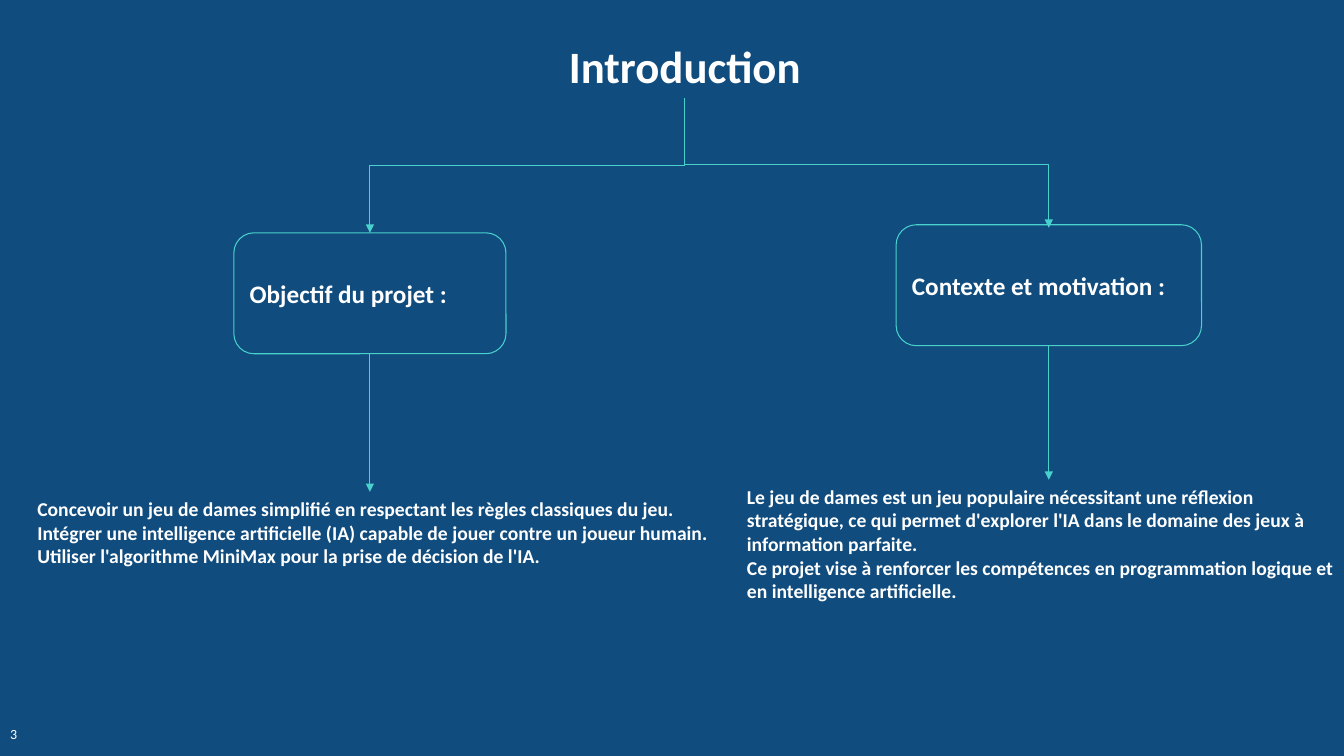
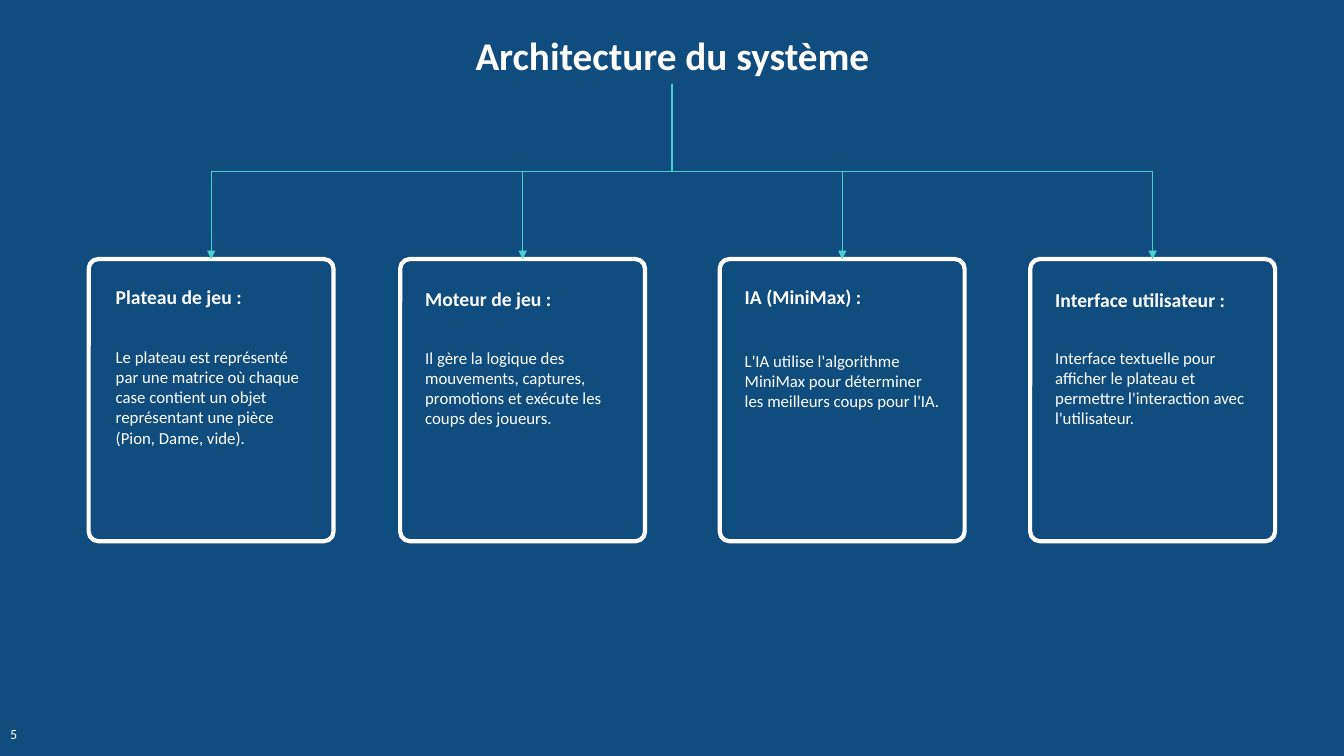
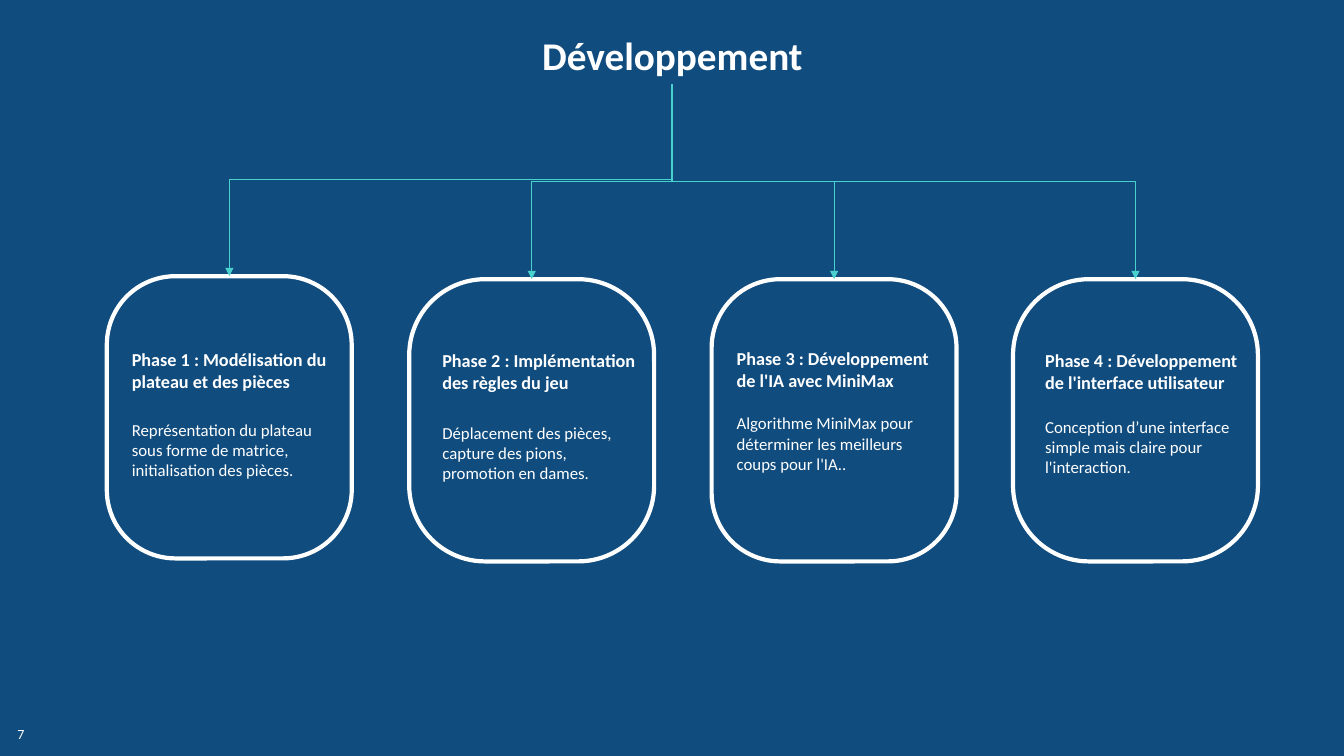
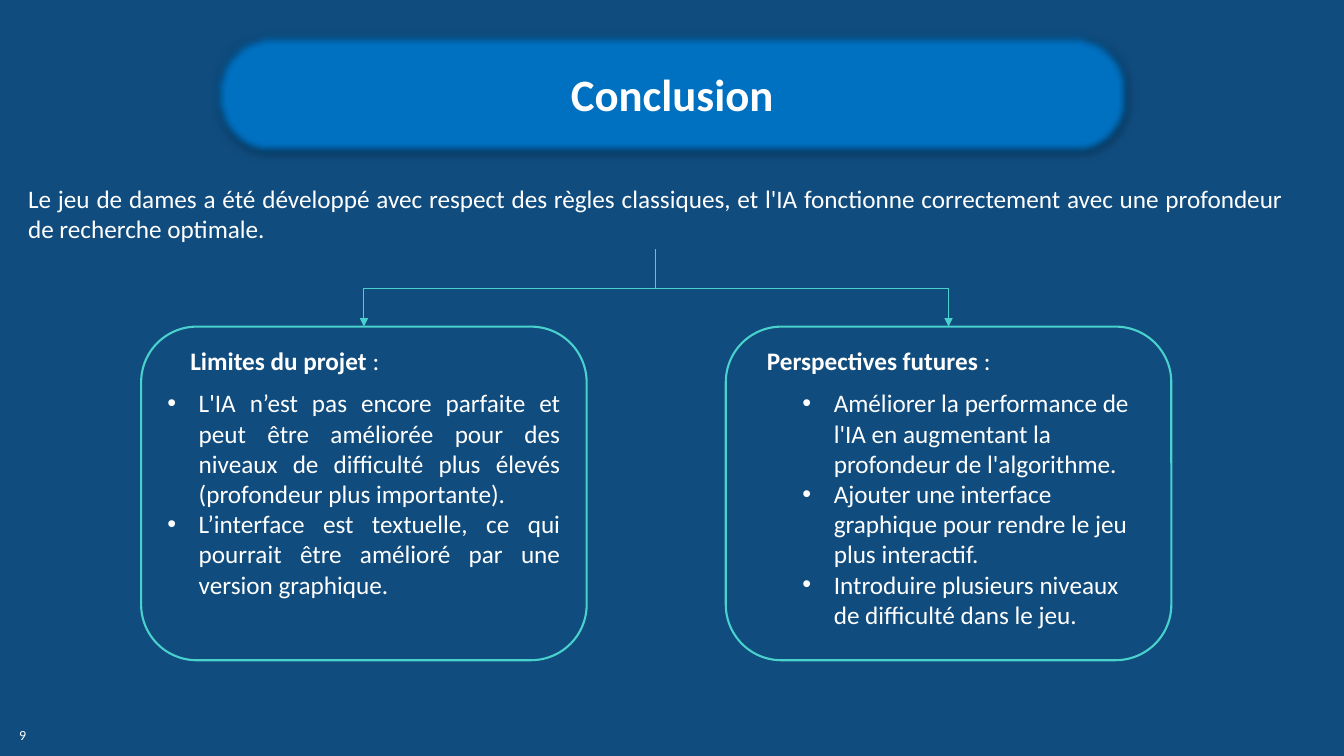
"""Build four slides on a draughts game project: fork diagrams below white titles."""

import dataclasses
import typing

import lxml.etree
import pptx
import pptx.dml.color
import pptx.enum.shapes
import pptx.enum.text
import pptx.oxml.ns
import pptx.util

RGBColor = pptx.dml.color.RGBColor
ALIGN = pptx.enum.text.PP_ALIGN
ANCHOR = pptx.enum.text.MSO_ANCHOR
SHAPES = pptx.enum.shapes.MSO_SHAPE
CONNECTORS = pptx.enum.shapes.MSO_CONNECTOR
qn = pptx.oxml.ns.qn

NAVY = RGBColor(0x10, 0x4C, 0x7E)
WHITE = RGBColor(0xFF, 0xFF, 0xFF)
TEAL = RGBColor(0x49, 0xD1, 0xCD)
BLUE = RGBColor(0x00, 0x70, 0xC0)

FONT = "Calibri"
CELL = pptx.util.Inches(0.1)
COLUMNS, ROWS = 133.33, 75
CARD_WIDTH, CARD_HEIGHT = 24.3, 28
CARD_TEXT_WIDTH = 21.3
TITLE_ONLY, TWO_CONTENT = 5, 3


class Area(typing.NamedTuple):
    """Place and size in grid cells."""

    left: float
    top: float
    width: float
    height: float


class Point(typing.NamedTuple):
    """Position in grid cells."""

    x: float
    y: float


class Insets(typing.NamedTuple):
    """Inner margins in grid cells."""

    left: float = 1
    top: float = 0.5
    right: float = 1
    bottom: float = 0.5


class Span(typing.NamedTuple):
    """Piece of text with one weight."""

    text: str
    bold: bool = False


@dataclasses.dataclass(frozen=True)
class Style:
    """Look of the text in one box."""

    size: float
    align: ALIGN = ALIGN.LEFT
    anchor: ANCHOR = ANCHOR.TOP
    insets: Insets | None = Insets()
    bullet_at: float | None = None


@dataclasses.dataclass(frozen=True)
class Card:
    """Outlined card with a heading and a text."""

    left: float
    top: float
    text_shift: float
    heading_top: float
    body_top: float
    heading: str
    body: str
    corner: float = 0.04


@dataclasses.dataclass(frozen=True)
class Panel:
    """Framed list with a heading."""

    left: float
    heading_left: float
    heading: str
    items: tuple[str, ...]
    style: Style


@dataclasses.dataclass(frozen=True)
class Topic:
    """Framed label with statements below it."""

    frame: Area
    label: str
    body: Area
    lines: tuple[str, ...]
    fork_start: Point
    fork_end: Point


LIST_INSETS = Insets(left=2.6, right=2.6)

TOPICS = (
    Topic(
        Area(23.2, 23.1, 27, 12),
        "Objectif du projet :",
        Area(2.7, 48.8, 68, 10.4),
        (
            "Concevoir un jeu de dames simplifié en respectant les règles classiques du jeu.",
            "Intégrer une intelligence artificielle (IA) capable de jouer contre un joueur humain.",
            "Utiliser l'algorithme MiniMax pour la prise de décision de l'IA.",
        ),
        Point(67.9, 9.7),
        Point(36.7, 23.1),
    ),
    Topic(
        Area(88.9, 22.3, 30.3, 12),
        "Contexte et motivation :",
        Area(73.1, 47.6, 60.2, 12.8),
        (
            "Le jeu de dames est un jeu populaire nécessitant une réflexion stratégique, "
            "ce qui permet d'explorer l'IA dans le domaine des jeux à information parfaite.",
            "Ce projet vise à renforcer les compétences en programmation logique "
            "et en intelligence artificielle.",
        ),
        Point(67.9, 10),
        Point(104.05, 22.6),
    ),
)

ARCHITECTURE = (
    Card(8.8, 25.7, 1.7, 27.8, 33.9, "Plateau de jeu :",
         "Le plateau est représenté par une matrice où chaque case contient "
         "un objet représentant une pièce (Pion, Dame, vide)."),
    Card(39.7, 25.7, 1.5, 28, 34, "Moteur de jeu :",
         "Il gère la logique des mouvements, captures, promotions "
         "et exécute les coups des joueurs."),
    Card(71.4, 25.7, 1.5, 27.8, 34.3, "IA (MiniMax) :",
         "L'IA utilise l'algorithme MiniMax pour déterminer les meilleurs coups pour l'IA."),
    Card(102.2, 25.7, 1.5, 28.1, 34, "Interface utilisateur :",
         "Interface textuelle pour afficher le plateau et permettre "
         "l'interaction avec l'utilisateur."),
)

PHASES = (
    Card(10.6, 27.4, 1.5, 34.1, 41.1, "Phase 1 : Modélisation du plateau et des pièces",
         "Représentation du plateau sous forme de matrice, initialisation des pièces.", 0.28),
    Card(40.6, 27.7, 2.3, 34.2, 41.4, "Phase 2 : Implémentation des règles du jeu",
         "Déplacement des pièces, capture des pions, promotion en dames.", 0.31),
    Card(70.6, 27.7, 1.5, 34, 40.5, "Phase 3 : Développement de l'IA avec MiniMax",
         "Algorithme MiniMax pour déterminer les meilleurs coups pour l'IA..", 0.28),
    Card(100.5, 27.7, 2.2, 34.2, 40.8, "Phase 4 : Développement de l'interface utilisateur",
         "Conception d’une interface simple mais claire pour l'interaction.", 0.31),
)

PANELS = (
    Panel(
        14, 17.9, "Limites du projet",
        (
            "L'IA n’est pas encore parfaite et peut être améliorée pour des niveaux "
            "de difficulté plus élevés (profondeur plus importante).",
            "L’interface est textuelle, ce qui pourrait être amélioré par une version graphique.",
        ),
        Style(18, ALIGN.JUSTIFY, ANCHOR.MIDDLE, LIST_INSETS, 3.12),
    ),
    Panel(
        72, 75.1, "Perspectives futures",
        (
            "Améliorer la performance de l'IA en augmentant la profondeur de l'algorithme.",
            "Ajouter une interface graphique pour rendre le jeu plus interactif.",
            "Introduire plusieurs niveaux de difficulté dans le jeu.",
        ),
        Style(18, ALIGN.LEFT, ANCHOR.MIDDLE, LIST_INSETS._replace(top=3.5), 8.12),
    ),
)


def cells(count: float) -> int:
    """Convert grid cells to a length."""
    return round(count * CELL)


def assign(target: typing.Any, formats: dict[str, typing.Any]) -> None:
    """Set every attribute named in a dict of format values."""
    for name, value in formats.items():
        setattr(target, name, value)


def place(shape: typing.Any, area: Area) -> None:
    """Move a shape to its area."""
    assign(shape, {name: cells(value) for name, value in area._asdict().items()})


def write(shape: typing.Any, paragraphs: typing.Sequence[typing.Sequence[Span]], style: Style) -> None:
    """Fill a shape with styled paragraphs."""
    frame = shape.text_frame
    assign(frame, {
        "word_wrap": True,
        "auto_size": pptx.enum.text.MSO_AUTO_SIZE.NONE,
        "vertical_anchor": style.anchor,
    })
    if style.insets:
        assign(frame, {f"margin_{side}": cells(value) for side, value in style.insets._asdict().items()})
    for index, spans in enumerate(paragraphs):
        para = frame.add_paragraph() if index else frame.paragraphs[0]
        properties = para._p.get_or_add_pPr()
        if style.bullet_at is None:
            formats = {"marL": "0", "indent": "0"}
            lxml.etree.SubElement(properties, qn("a:buNone"))
        else:
            formats = {"marL": str(cells(style.bullet_at)), "indent": str(cells(-3.12))}
            lxml.etree.SubElement(properties, qn("a:buChar"), char="•")
        for name, value in formats.items():
            properties.set(name, value)
        assign(para, {
            "alignment": style.align,
            "space_before": pptx.util.Pt(0),
            "space_after": pptx.util.Pt(0),
        })
        for span in spans:
            run = para.add_run()
            run.text = span.text
            assign(run.font, {"name": FONT, "size": pptx.util.Pt(style.size), "bold": span.bold})
            run.font.color.rgb = WHITE


def add_text(page: typing.Any, area: Area, spans: typing.Sequence[Span], style: Style) -> None:
    """Add a text box with one paragraph."""
    box = page.shapes.add_textbox(0, 0, 0, 0)
    place(box, area)
    write(box, [spans], style)


def add_frame(page: typing.Any, area: Area, color: RGBColor, weight: float,
              corner: float | None = None) -> typing.Any:
    """Add an outlined rounded rectangle."""
    frame = page.shapes.add_shape(SHAPES.ROUNDED_RECTANGLE, 0, 0, 0, 0)
    place(frame, area)
    frame.shadow.inherit = False
    frame.fill.background()
    frame.line.color.rgb = color
    frame.line.width = pptx.util.Pt(weight)
    if corner is not None:
        frame.adjustments[0] = corner
    return frame


def add_arrow(page: typing.Any, start: Point, end: Point) -> None:
    """Add a downward arrow, bent halfway when its ends are not aligned."""
    across, down = abs(end.x - start.x), end.y - start.y
    if across == 0:
        kind, turn, ends = CONNECTORS.STRAIGHT, 0, (*start, *end)
    else:
        left = (start.x + end.x - down) / 2
        top = (start.y + end.y - across) / 2
        rightward = end.x > start.x
        near, far = (left + down, left) if rightward else (left, left + down)
        kind, turn, ends = CONNECTORS.ELBOW, 270 if rightward else 90, (near, top, far, top + across)
    arrow = page.shapes.add_connector(kind, *map(cells, ends))
    arrow.line.color.rgb = TEAL
    arrow.line.width = pptx.util.Pt(0.75)
    properties = arrow._element.spPr
    properties.find(qn("a:xfrm")).set("rot", str(turn * 60000))
    lxml.etree.SubElement(properties.find(qn("a:ln")), qn("a:tailEnd"), type="triangle")
    lxml.etree.SubElement(properties, qn("a:effectLst"))


def add_page(deck: typing.Any, layout: int, title: str, area: Area, size: float,
             number: str, number_area: Area) -> typing.Any:
    """Add a slide with its title and page number."""
    page = deck.slides.add_slide(deck.slide_layouts[layout])
    place(page.shapes.title, area)
    write(page.shapes.title, [[Span(title, True)]], Style(size, ALIGN.CENTER, ANCHOR.MIDDLE))
    add_text(page, number_area, [Span(number)],
             Style(10, ALIGN.RIGHT, ANCHOR.MIDDLE, Insets(left=0)))
    return page


def build_introduction(deck: typing.Any) -> None:
    """Add the slide with goal and context."""
    page = add_page(deck, TWO_CONTENT, "Introduction", Area(34.6, 3.3, 66.7, 6.4), 32,
                    "3", Area(0, 70.8, 2.7, 4.1))
    for topic, body in zip(TOPICS, list(page.placeholders)[1:]):
        frame = add_frame(page, topic.frame, TEAL, 0.75)
        write(frame, [[Span(topic.label, True)]], Style(18, anchor=ANCHOR.MIDDLE))
        place(body, topic.body)
        write(body, [[Span(line, True)] for line in topic.lines], Style(14, insets=Insets(right=0)))
        add_arrow(page, topic.fork_start, topic.fork_end)
        middle = topic.frame.left + topic.frame.width / 2
        add_arrow(page, Point(middle, topic.frame.top + topic.frame.height),
                  Point(middle, topic.body.top))


def build_cards(deck: typing.Any, title: str, cards: typing.Sequence[Card], heading_size: float,
                number: str, number_area: Area) -> None:
    """Add a slide whose title forks into cards."""
    page = add_page(deck, TITLE_ONLY, title, Area(11.3, 2.6, 110.8, 5.7), 28, number, number_area)
    for card in cards:
        add_frame(page, Area(card.left, card.top, CARD_WIDTH, CARD_HEIGHT), WHITE, 3, card.corner)
        left = card.left + card.text_shift
        add_text(page, Area(left, card.heading_top, CARD_TEXT_WIDTH, 5.4),
                 [Span(card.heading, True)], Style(heading_size))
        add_text(page, Area(left, card.body_top, CARD_TEXT_WIDTH, 11.1),
                 [Span(card.body)], Style(12))
        add_arrow(page, Point(COLUMNS / 2, 8.3), Point(card.left + CARD_WIDTH / 2, card.top))


def add_banner(page: typing.Any, area: Area) -> None:
    """Add a soft blue banner with a shadow behind the title."""
    banner = add_frame(page, area, BLUE, 0.75, 0.41)
    banner.line.fill.background()
    banner.fill.solid()
    banner.fill.fore_color.rgb = BLUE
    effects = banner._element.spPr.find(qn("a:effectLst"))
    shadow = lxml.etree.SubElement(effects, qn("a:outerShdw"), blurRad="57150", dist="19050",
                                   dir="5400000", algn="ctr", rotWithShape="0")
    color = lxml.etree.SubElement(shadow, qn("a:srgbClr"), val="000000")
    lxml.etree.SubElement(color, qn("a:alpha"), val="63000")
    lxml.etree.SubElement(effects, qn("a:softEdge"), rad="63500")
    page.shapes.title._element.addprevious(banner._element)


def build_conclusion(deck: typing.Any) -> None:
    """Add the slide with limits and outlook."""
    area = Area(21.2, 3.2, 91, 12.2)
    page = add_page(deck, TWO_CONTENT, "Conclusion", area, 32, "9", Area(0, 70.9, 3.6, 4.1))
    add_banner(page, area)
    add_text(
        page, Area(1.8, 17.7, 126.5, 7.1),
        [Span("Le jeu de dames a été développé avec respect des règles classiques, et l'IA "
              "fonctionne correctement avec une profondeur de recherche optimale.")],
        Style(18, ALIGN.JUSTIFY),
    )
    for panel, body in zip(PANELS, list(page.placeholders)[1:]):
        frame = Area(panel.left, 32.4, 44.2, 33.1)
        add_frame(page, frame, TEAL, 1.5)
        place(body, frame)
        write(body, [[Span(item)] for item in panel.items], panel.style)
        add_text(page, Area(panel.heading_left, 33.8, 35, 4),
                 [Span(panel.heading, True), Span(" :")], Style(18))
        add_arrow(page, Point(65.05, 24.75), Point(frame.left + frame.width / 2, frame.top))


def main() -> None:
    """Build and save the deck."""
    deck = pptx.Presentation()
    assign(deck, {"slide_width": cells(COLUMNS), "slide_height": cells(ROWS)})
    background = deck.slide_master.background.fill
    background.solid()
    background.fore_color.rgb = NAVY
    build_introduction(deck)
    build_cards(deck, "Architecture du système", ARCHITECTURE, 14, "5", Area(0, 70.8, 2.7, 4.1))
    build_cards(deck, "Développement", PHASES, 13, "7", Area(0, 70.8, 3.4, 4.1))
    build_conclusion(deck)
    deck.save("out.pptx")


if __name__ == "__main__":
    main()
